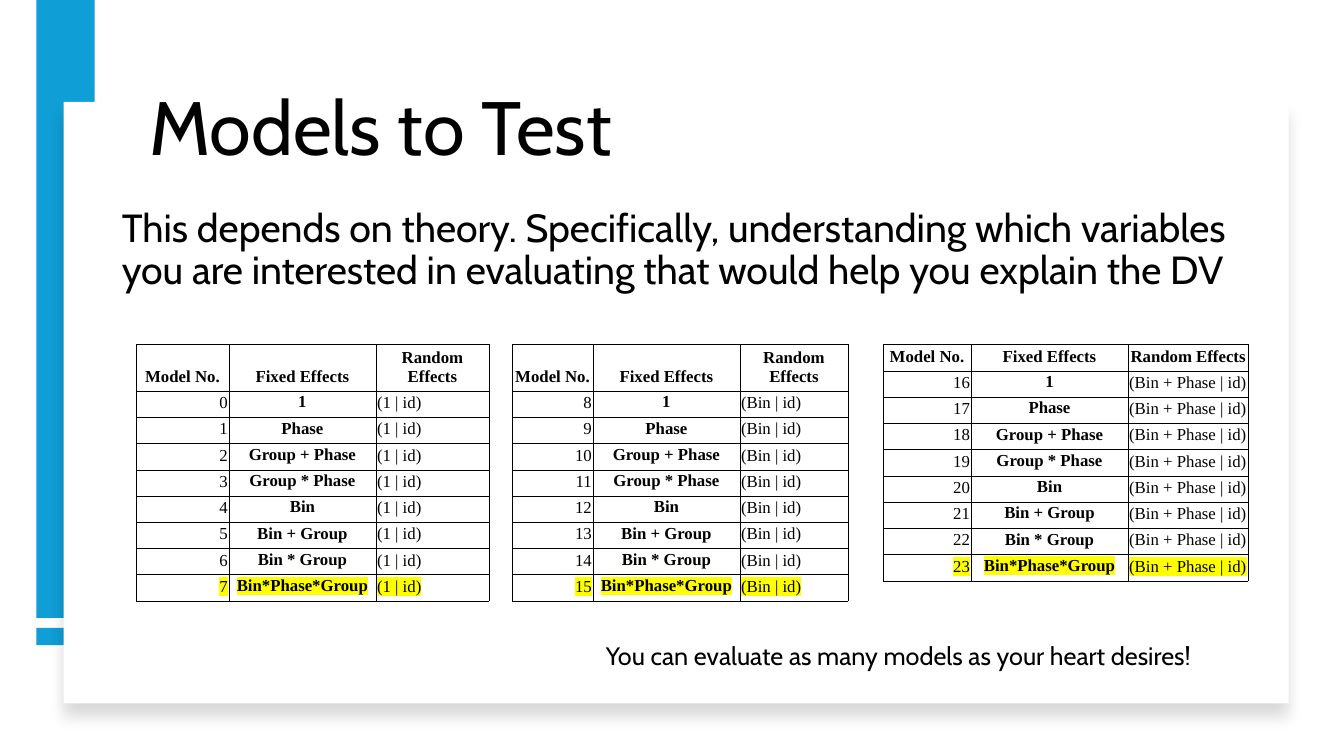
from lxml import etree
from pptx import Presentation
from pptx.dml.color import RGBColor
from pptx.enum.shapes import MSO_SHAPE
from pptx.enum.text import MSO_ANCHOR, PP_ALIGN
from pptx.oxml import parse_xml
from pptx.oxml.ns import qn
from pptx.util import Inches, Pt

TITLE = "Models to Test"
INTRO = ("This depends on theory. Specifically, understanding which variables "
         "you are interested in evaluating that would help you explain the DV")
REMARK = "You can evaluate as many models as your heart desires!"

HEADINGS = ("Model No.", "Fixed Effects", "Random Effects")
FIXED_EFFECTS = ("1", "Phase", "Group + Phase", "Group * Phase", "Bin",
                 "Bin + Group", "Bin * Group", "Bin*Phase*Group")
# random effects, left edge, column widths, heading height
MODEL_SETS = (
    ("(1 | id)", 1.35, (0.92, 1.46, 1.12), 0.43),
    ("(Bin | id)", 5.08, (0.8, 1.46, 1.07), 0.43),
    ("(Bin + Phase | id)", 8.76, (0.87, 1.56, 1.19), 0.24),
)
TABLES_TOP, ROW_HEIGHT = 3.42, 0.24
CELL_INSET, CELL_BOTTOM_INSET = Inches(0.01), Inches(0.05)

BLUE = RGBColor(0x0F, 0x9E, 0xD5)
WHITE = RGBColor(0xFF, 0xFF, 0xFF)
BLACK = RGBColor(0, 0, 0)
YELLOW = RGBColor(0xFF, 0xFF, 0)
HEADING_FONT, TABLE_FONT = "Cabin", "Times New Roman"

RECTANGLE = MSO_SHAPE.RECTANGLE
LEFT, CENTER, RIGHT = PP_ALIGN.LEFT, PP_ALIGN.CENTER, PP_ALIGN.RIGHT
TOP, MIDDLE, BOTTOM = MSO_ANCHOR.TOP, MSO_ANCHOR.MIDDLE, MSO_ANCHOR.BOTTOM
COLUMN_ALIGNS = (RIGHT, CENTER, LEFT)
COLUMN_ANCHORS = (BOTTOM, MIDDLE, BOTTOM)

DRAWING_NS = "http://schemas.openxmlformats.org/drawingml/2006/main"
CARD_SHADOW = f"""<a:effectLst xmlns:a="{DRAWING_NS}">
  <a:outerShdw blurRad="{Pt(11)}" dist="{Pt(10)}" dir="5400000" algn="t" rotWithShape="0">
    <a:srgbClr val="{BLACK}"><a:alpha val="15000"/></a:srgbClr>
  </a:outerShdw>
</a:effectLst>"""


def add_block(slide, box, color):
    block = slide.shapes.add_shape(RECTANGLE, *map(Inches, box))
    block.shadow.inherit = False
    block.fill.solid()
    block.fill.fore_color.rgb = color
    block.line.fill.background()
    return block


def add_text(slide, box, text, size, anchor=TOP, wrap=True, line_spacing=None):
    frame = slide.shapes.add_textbox(*map(Inches, box)).text_frame
    frame.word_wrap = wrap
    frame.vertical_anchor = anchor
    frame.text = text
    frame.paragraphs[0].line_spacing = line_spacing
    style_run(frame.paragraphs[0].runs[0], HEADING_FONT, size)


def style_run(run, font_name, size, bold=False, highlighted=False):
    run.font.name = font_name
    run.font.size = Pt(size)
    run.font.bold = bold
    run.font.color.rgb = BLACK
    if highlighted:
        highlight = etree.Element(qn("a:highlight"))
        etree.SubElement(highlight, qn("a:srgbClr"), val=str(YELLOW))
        run.font.fill._xPr.find(qn("a:solidFill")).addnext(highlight)


def add_borders(cell):
    properties = cell._tc.get_or_add_tcPr()
    for side in ("lnL", "lnR", "lnT", "lnB"):
        line = etree.SubElement(properties, qn(f"a:{side}"), w=str(Pt(0.5)))
        fill = etree.SubElement(line, qn("a:solidFill"))
        etree.SubElement(fill, qn("a:srgbClr"), val=str(BLACK))


def fill_cell(cell, text, align, anchor, bold, highlighted):
    cell.margin_left = cell.margin_top = cell.margin_right = CELL_INSET
    cell.margin_bottom = CELL_BOTTOM_INSET
    cell.vertical_anchor = anchor
    add_borders(cell)
    cell.fill.background()
    cell.text_frame.text = text
    paragraph = cell.text_frame.paragraphs[0]
    paragraph.alignment = align
    style_run(paragraph.runs[0], TABLE_FONT, 12, bold, highlighted)


def add_model_table(slide, first_model, random_effects, left, widths, heading_height):
    rows = [HEADINGS] + [(str(number), fixed, random_effects)
                         for number, fixed in enumerate(FIXED_EFFECTS, first_model)]
    heights = [heading_height] + [ROW_HEIGHT] * len(FIXED_EFFECTS)
    table = slide.shapes.add_table(
        len(rows), len(HEADINGS), Inches(left), Inches(TABLES_TOP),
        Inches(sum(widths)), Inches(sum(heights))).table
    table.first_row = table.horz_banding = False
    for column, width in zip(table.columns, widths):
        column.width = Inches(width)
    for r, (row, height) in enumerate(zip(rows, heights)):
        table.rows[r].height = Inches(height)
        is_heading, is_full_model = r == 0, r == len(rows) - 1
        for c, text in enumerate(row):
            fill_cell(table.cell(r, c), text,
                      CENTER if is_heading else COLUMN_ALIGNS[c],
                      BOTTOM if is_heading else COLUMN_ANCHORS[c],
                      bold=is_heading or c == 1, highlighted=is_full_model)


def main():
    presentation = Presentation()
    presentation.slide_width, presentation.slide_height = Inches(13.33), Inches(7.5)
    slide = presentation.slides.add_slide(presentation.slide_layouts[6])

    add_block(slide, (0.36, 6.23, 0.58, 0.17), BLUE)
    add_block(slide, (0.36, 0, 0.58, 6.13), BLUE)
    card = add_block(slide, (0.63, 1.01, 12.15, 5.97), WHITE)
    card_properties = card._element.spPr
    card_properties.replace(card_properties.find(qn("a:effectLst")), parse_xml(CARD_SHADOW))

    add_text(slide, (1.38, 0.27, 10.77, 1.48), TITLE, 54, BOTTOM, line_spacing=0.9)
    for index, model_set in enumerate(MODEL_SETS):
        add_model_table(slide, index * len(FIXED_EFFECTS), *model_set)
    add_text(slide, (1.11, 2.02, 11.5, 2.12), INTRO, 28, line_spacing=0.9)
    add_text(slide, (5.91, 6.3, 6.25, 0.4), REMARK, 18, wrap=False)

    presentation.save("out.pptx")


if __name__ == "__main__":
    main()
